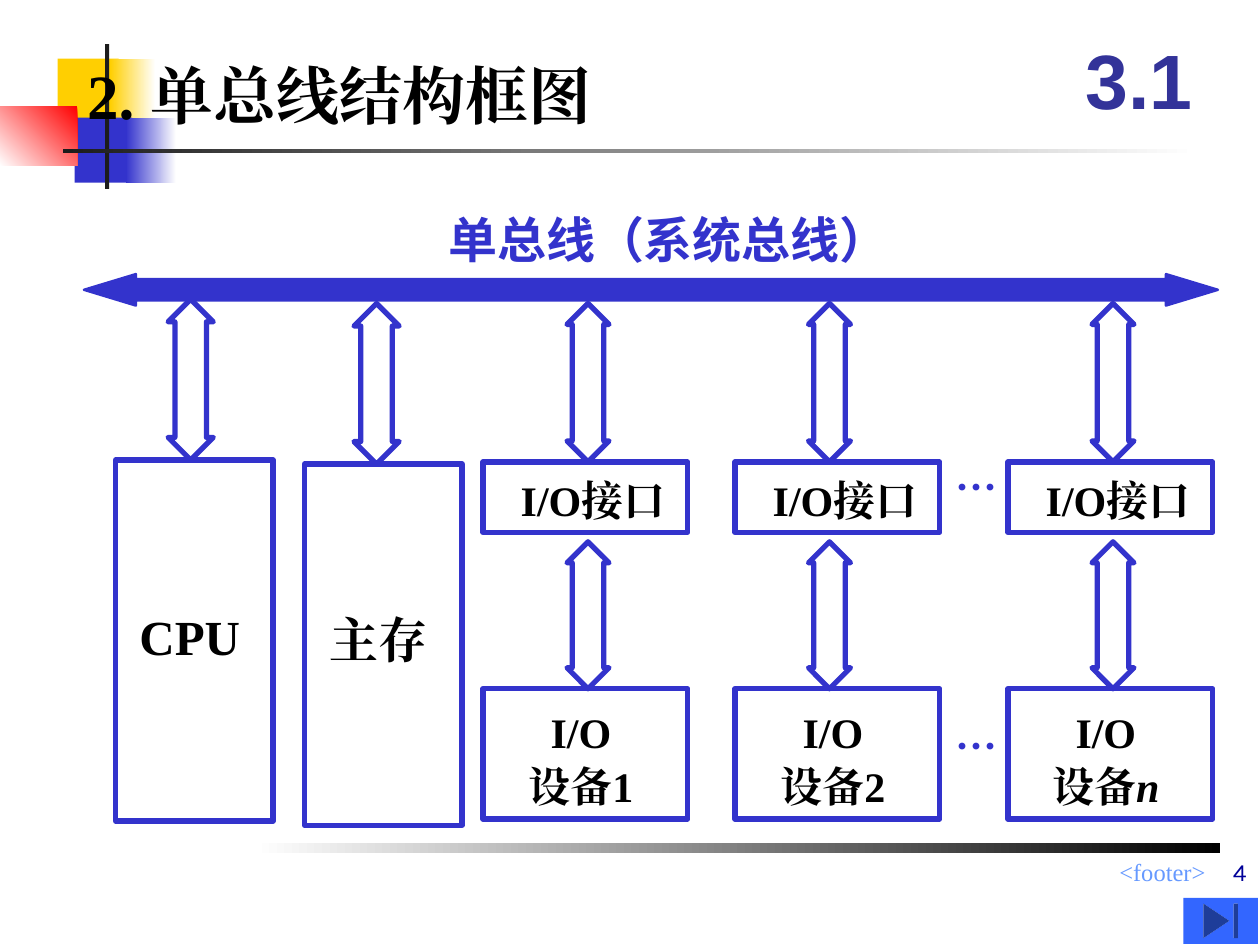
from lxml.etree import SubElement
from pptx import Presentation
from pptx.dml.color import RGBColor
from pptx.enum.shapes import MSO_SHAPE as SHAPE
from pptx.enum.text import MSO_ANCHOR as ANCHOR, PP_ALIGN as ALIGN
from pptx.oxml.ns import qn
from pptx.util import Inches, Pt

# The slide is a grid of 120 columns and 90 rows, each 1/12 inch
UNIT = Inches(1) / 12
SERIF, SANS = "Times New Roman", "Noto Sans CJK SC"
COLORS = {
    "blue": "3333CC", "navy": "333399", "gold": "FFCF01", "red": "FF0000",
    "dark": "1C1C1C", "black": "000000", "white": "FFFFFF",
    "sky": "6699FF", "page": "000099", "button": "3366FF",
}


def rgb(name):
    return RGBColor.from_string(COLORS[name])


def grid(*cells):
    return [round(cell * UNIT) for cell in cells]


def write(shape, *lines, size=24, font=SERIF, color="black", bold=True,
          align=ALIGN.CENTER, anchor=ANCHOR.TOP, pad=(0, 0, 0, 0),
          wrap=True, gap=0):
    """Fill a shape with lines; a line is a list of (text, italic) runs or a string."""
    frame = shape.text_frame
    frame.word_wrap, frame.vertical_anchor = wrap, anchor
    (frame.margin_left, frame.margin_top,
     frame.margin_right, frame.margin_bottom) = map(Inches, pad)
    for num, line in enumerate(lines):
        para = frame.add_paragraph() if num else frame.paragraphs[0]
        para.alignment = align
        para.space_before = Pt(gap if num else 0)
        for text, slant in [(line, False)] if isinstance(line, str) else line:
            run = para.add_run()
            run.text = text
            face = run.font
            face.name, face.size, face.bold = font, Pt(size), bold
            face.italic = slant
            face.color.rgb = rgb(color)
            # Same face for the Chinese characters
            SubElement(run._r.get_or_add_rPr(), qn("a:ea"), typeface=font)


def label(slide, cells, text, **style):
    write(slide.shapes.add_textbox(*grid(*cells)), text, **style)


def block(slide, kind, cells, fill=None, line=None, width=3):
    shape = slide.shapes.add_shape(kind, *grid(*cells))
    shape.shadow.inherit = False
    if fill:
        shape.fill.solid()
        shape.fill.fore_color.rgb = rgb(fill)
    else:
        shape.fill.background()
    if line:
        shape.line.color.rgb = rgb(line)
        shape.line.width = Pt(width)
    else:
        shape.line.fill.background()
    return shape


def fade(slide, cells, start, end, angle=180):
    fill = block(slide, SHAPE.RECTANGLE, cells).fill
    fill.gradient()
    fill.gradient_angle = angle
    for stop, name in zip(fill.gradient_stops, (start, end)):
        stop.color.rgb = rgb(name)


def arrow(slide, kind, cells, shaft, head, fill=None, width=3):
    shape = block(slide, kind, cells, fill, "blue", width)
    shape.adjustments[0], shape.adjustments[1] = shaft, head
    SubElement(shape.line._get_or_add_ln(), qn("a:round"))


def link(slide, left, top, wide, high):
    arrow(slide, SHAPE.UP_DOWN_ARROW, (left, top, wide, high), 0.5, 3 / wide)


def box(slide, cells, *lines, **style):
    write(block(slide, SHAPE.RECTANGLE, cells, line="blue"), *lines, **style)


def decor(slide):
    # Coloured squares at the top left
    block(slide, SHAPE.RECTANGLE, (5.5, 5.6, 5.8, 6.2), "gold")
    fade(slide, (10.5, 5.6, 4.3, 6.2), "white", "gold")
    block(slide, SHAPE.RECTANGLE, (7.1, 11.2, 5.5, 6.2), "blue")
    fade(slide, (12, 11.2, 4.8, 6.2), "white", "blue")
    fade(slide, (0, 10.1, 7.35, 5.7), "red", "white", 225)
    # Rules
    block(slide, SHAPE.RECTANGLE, (10, 4.2, 0.4, 13.8), "dark")
    fade(slide, (6, 14.2, 108, 0.4), "white", "dark")
    fade(slide, (24.2, 80.3, 92, 0.9), "black", "white")


def units(slide):
    # CPU and main memory
    for left, top, name, pad in ((11, 43.8, "CPU", 1.16), (29, 44.2, "主存", 1.15)):
        box(slide, (left, top, 15, 34.4), name, size=28, pad=(0.1, pad, 0.17, 0))
        link(slide, left + 5.2 - left / 60, top - 15.3, 4.3, 15.3)
    # Interfaces with their devices
    for left, mid, name in ((46, 56, ("1", False)), (70, 79, ("2", False)),
                            (96, 106, ("n", True))):
        box(slide, (left, 44, 19.5, 6.7), "I/O接口", pad=(0.22, 0.1, 0.1, 0))
        box(slide, (left, 65.6, 19.5, 12.4), "I/O", [("设备", False), name],
            pad=(0.1, 0.14, 0.17, 0), gap=2)
        link(slide, mid - 2, 28.9, 4, 15.1)
        link(slide, mid - 2, 51.6, 4, 14)
    # Gaps in the series
    for top in (44, 68.6):
        label(slide, (91, top, 5, 4.8), "…", font=SANS, color="blue",
              align=ALIGN.LEFT, anchor=ANCHOR.MIDDLE)


def main():
    deck = Presentation()
    deck.slide_width, deck.slide_height = grid(120, 90)
    slide = deck.slides.add_slide(deck.slide_layouts[6])
    decor(slide)
    # Headings
    label(slide, (8.3, 5.4, 51, 7.5), "2. 单总线结构框图", size=36,
          align=ALIGN.LEFT, wrap=False)
    label(slide, (101, 2, 15, 11), "3.1", size=44, font="Arial", color="navy",
          anchor=ANCHOR.MIDDLE)
    # System bus
    label(slide, (42.7, 20, 42, 5.6), "单总线（系统总线）", size=28, font=SANS,
          color="blue", align=ALIGN.LEFT, anchor=ANCHOR.MIDDLE, wrap=False)
    arrow(slide, SHAPE.LEFT_RIGHT_ARROW, (8, 26.1, 108, 3), 0.68, 1.65, "blue", 1.39)
    units(slide)
    # Foot of the slide
    foot = dict(size=14, bold=False, align=ALIGN.RIGHT, pad=(0.1, 0.05, 0.1, 0.05))
    label(slide, (47, 81, 69, 3.1), "<footer>", color="sky", **foot)
    label(slide, (62.5, 79, 57.4, 6), "4", font="Karla", color="page",
          anchor=ANCHOR.BOTTOM, **foot)
    block(slide, SHAPE.ACTION_BUTTON_END, (112.7, 85.5, 7.1, 4.4), "button")
    deck.save("out.pptx")


if __name__ == "__main__":
    main()
